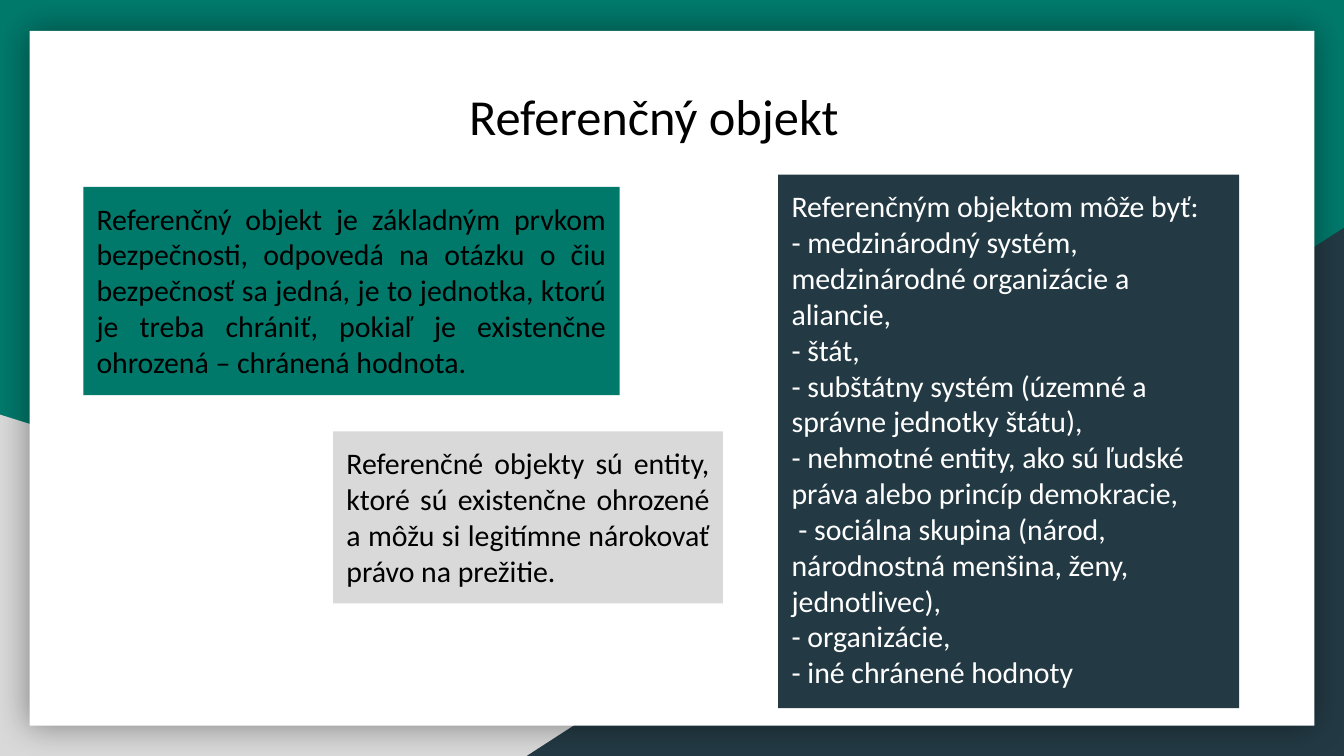
from dataclasses import dataclass

from lxml import etree
from pptx import Presentation
from pptx.dml.color import RGBColor
from pptx.enum.shapes import MSO_SHAPE
from pptx.enum.text import MSO_ANCHOR, MSO_AUTO_SIZE, PP_ALIGN
from pptx.oxml.ns import qn
from pptx.util import Inches, Pt

RECT = MSO_SHAPE.RECTANGLE
WEDGE = MSO_SHAPE.RIGHT_TRIANGLE
TOP = MSO_ANCHOR.TOP
GROW = MSO_AUTO_SIZE.SHAPE_TO_FIT_TEXT
FIXED = MSO_AUTO_SIZE.NONE
LEFT = PP_ALIGN.LEFT
FULL = PP_ALIGN.JUSTIFY


@dataclass(frozen=True)
class Theme:
    font: str = "Calibri"
    title: int = 27
    body: int = 16
    teal: str = "00796B"
    navy: str = "233A44"
    grey: str = "D9D9D9"
    white: str = "FFFFFF"
    black: str = "000000"


THEME = Theme()
WIDE = 10
HIGH = WIDE * 9 / 16
HEAD = "Referenčný objekt"
ROLE = (
    "Referenčný objekt je základným prvkom bezpečnosti, odpovedá na otázku "
    "o čiu bezpečnosť sa jedná, je to jednotka, ktorú je treba chrániť, "
    "pokiaľ je existenčne ohrozená – chránená hodnota."
)
CLAIM = (
    "Referenčné objekty sú entity, ktoré sú existenčne ohrozené "
    "a môžu si legitímne nárokovať právo na prežitie."
)
KINDS = [
    "Referenčným objektom môže byť:",
    "- medzinárodný systém, medzinárodné organizácie a aliancie,",
    "- štát,",
    "- subštátny systém (územné a správne jednotky štátu),",
    "- nehmotné entity, ako sú ľudské práva alebo princíp demokracie,",
    " - sociálna skupina (národ, národnostná menšina, ženy, jednotlivec),",
    "- organizácie,",
    "- iné chránené hodnoty",
]


def paint(fill, color):
    fill.solid()
    fill.fore_color.rgb = RGBColor.from_string(color)


def place(shape, box):
    shape.left, shape.top, shape.width, shape.height = map(Inches, box)


def add_block(slide, kind, box, color):
    shape = slide.shapes.add_shape(kind, *map(Inches, box))
    shape.shadow.inherit = False
    paint(shape.fill, color)
    shape.line.fill.background()
    return shape


def add_wedge(slide, wide, high, color):
    """Set a right triangle on the bottom edge; return it for flipping."""
    return add_block(slide, WEDGE, (0, HIGH - high, wide, high), color)


def add_glow(shape):
    """Put a soft, centred shadow around the shape."""
    effects = shape.element.spPr.find(qn("a:effectLst"))
    glow = etree.SubElement(effects, qn("a:outerShdw"), blurRad=str(Pt(18)), dist="0")
    color = etree.SubElement(glow, qn("a:srgbClr"), val=THEME.black)
    etree.SubElement(color, qn("a:alpha"), val="40000")


def add_back(slide):
    """Draw the wedges and the panel behind the placeholders."""
    paint(slide.background.fill, THEME.teal)
    grey = add_wedge(slide, 8.06, 2.54, THEME.grey)
    navy = add_wedge(slide, 6.08, 3.93, THEME.navy)
    navy.left = Inches(WIDE) - navy.width
    navy.element.spPr.find(qn("a:xfrm")).set("flipH", "1")
    panel = add_block(slide, RECT, (0.22, 0.23, 9.56, 5.17), THEME.white)
    add_glow(panel)
    tree = grey.element.getparent()
    for spot, shape in enumerate((grey, navy, panel), start=2):
        tree.insert(spot, shape.element)


def write(shape, lines, size, color, align=LEFT, fit=GROW):
    frame = shape.text_frame
    frame.word_wrap = True
    frame.auto_size = fit
    frame.vertical_anchor = TOP
    frame.margin_left = frame.margin_right = Inches(0.1)
    frame.margin_top = frame.margin_bottom = Inches(0.1)
    for index, line in enumerate(lines):
        para = frame.add_paragraph() if index else frame.paragraphs[0]
        props = para._p.get_or_add_pPr()
        props.set("marL", "0")
        props.set("indent", "0")
        etree.SubElement(props, qn("a:buNone"))
        para.alignment = align
        para.space_before = Pt(0)
        run = para.add_run()
        run.text = line
        run.font.name = THEME.font
        run.font.size = Pt(size)
        run.font.color.rgb = RGBColor.from_string(color)


def add_card(slide, box, text, color):
    card = add_block(slide, RECT, box, color)
    write(card, [text], THEME.body, THEME.black, FULL)


def main():
    deck = Presentation()
    deck.slide_width, deck.slide_height = Inches(WIDE), Inches(HIGH)
    slide = deck.slides.add_slide(deck.slide_layouts[1])
    add_back(slide)

    title = slide.shapes.title
    place(title, (3.39, 0.53, 3.1, 0.66))
    write(title, [HEAD], THEME.title, THEME.black)

    add_card(slide, (0.62, 1.39, 3.99, 1.55), ROLE, THEME.teal)
    add_card(slide, (2.48, 3.21, 2.9, 1.28), CLAIM, THEME.grey)

    kinds = slide.placeholders[1]
    place(kinds, (5.79, 1.3, 3.43, 3.97))
    paint(kinds.fill, THEME.navy)
    write(kinds, KINDS, THEME.body, THEME.white, fit=FIXED)

    deck.save("out.pptx")


if __name__ == "__main__":
    main()
